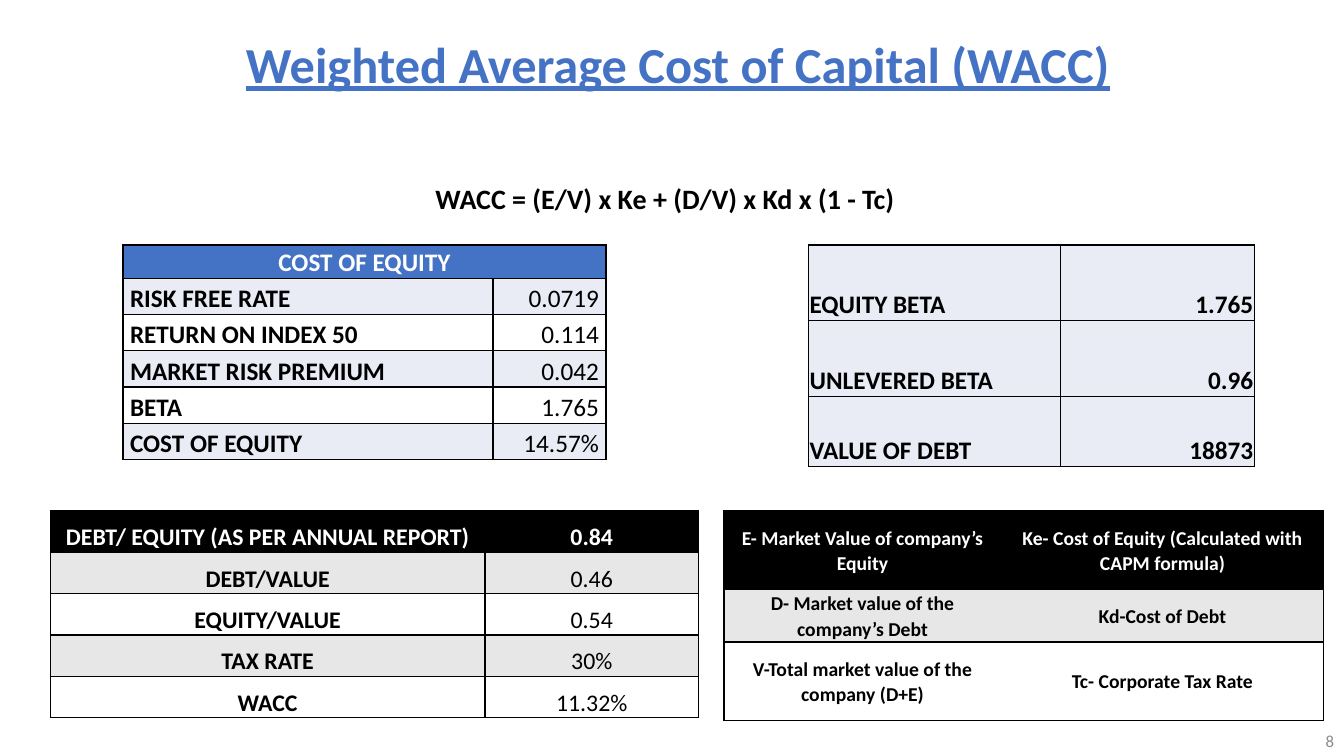
from lxml import etree
from pptx import Presentation
from pptx import util as u
from pptx.dml.color import RGBColor
from pptx.enum import text
from pptx.oxml import ns

COLORS = {"blue": "4472C4", "pale": "E9EBF5", "gray": "E7E7E7",
          "white": "FFFFFF", "black": "000000", "number": "8C8C8C"}
ALIGN = {"l": text.PP_ALIGN.LEFT, "c": text.PP_ALIGN.CENTER, "r": text.PP_ALIGN.RIGHT}
BOTTOM, MIDDLE, TOP = (text.MSO_ANCHOR.BOTTOM, text.MSO_ANCHOR.MIDDLE,
                       text.MSO_ANCHOR.TOP)


def add_run(paragraph, words, size, color, bold=True, align="l"):
    paragraph.alignment = ALIGN[align]
    run = paragraph.add_run()
    run.text = words
    run.font.name = "Calibri"
    run.font.size = u.Pt(size)
    run.font.bold = bold
    run.font.color.rgb = RGBColor.from_string(COLORS[color])
    return run


def add_border(cell, side, visible):
    properties = cell._tc.get_or_add_tcPr()
    line = etree.SubElement(properties, ns.qn(f"a:ln{side}"), w=str(u.Pt(1)))
    if visible:
        fill = etree.SubElement(line, ns.qn("a:solidFill"))
        etree.SubElement(fill, ns.qn("a:srgbClr"), val=COLORS["black"])
    else:
        etree.SubElement(line, ns.qn("a:noFill"))


presentation = Presentation()
presentation.slide_width, presentation.slide_height = u.Inches(13.33), u.Inches(7.5)
slide = presentation.slides.add_slide(presentation.slide_layouts[6])

# Title, formula and slide number
texts = [
    ("Weighted Average Cost of Capital (WACC)", (2.34, 0.35, 9.6, 0.55),
     36, "blue", True, "l", TOP),
    ("WACC = (E/V) x Ke + (D/V) x Kd x (1 - Tc)", (4.22, 1.75, 4.88, 0.44),
     20, "black", True, "l", MIDDLE),
    ("8", (10.33, 7.15, 3, 0.4), 12, "number", False, "r", MIDDLE),
]
for words, place, size, color, bold, align, anchor in texts:
    frame = slide.shapes.add_textbox(*map(u.Inches, place)).text_frame
    frame.word_wrap = True
    frame.vertical_anchor = anchor
    run = add_run(frame.paragraphs[0], words, size, color, bold, align)
    if color == "blue":
        run.font.underline = True
        frame.paragraphs[0].line_spacing = 0.9

# Table contents and rules: fills and colours go row by row
tables = [
    dict(at=(0.5, 5.07), columns=(4.31, 2.12), heights=[0.41] * 5, size=17,
         fills=["black", "gray", "white", "gray", "white"], header=True,
         align="cc", anchor=BOTTOM, bold_values=False, inner=True, inset=0.07,
         rows=[("DEBT/ EQUITY (AS PER ANNUAL REPORT)", "0.84"),
               ("DEBT/VALUE", "0.46"), ("EQUITY/VALUE", "0.54"),
               ("TAX RATE", "30%"), ("WACC", "11.32%")]),
    dict(at=(7.18, 5.07), columns=(2.75, 3.2), heights=[0.78, 0.52, 0.78], size=14,
         fills=["black", "gray", "white"], header=True,
         align="cc", anchor=MIDDLE, bold_values=True, inner=False, inset=0.07,
         rows=[("E- Market Value of company’s Equity",
                "Ke- Cost of Equity (Calculated with CAPM formula)"),
               ("D- Market value of the company’s Debt", "Kd-Cost of Debt"),
               ("V-Total market value of the company (D+E)",
                "Tc- Corporate Tax Rate")]),
    dict(at=(1.22, 2.43), columns=(3.67, 1.12), heights=[0.33] + [0.36] * 5, size=18,
         fills=["blue", "pale", "white", "pale", "white", "pale"], header=True,
         align="lr", anchor=BOTTOM, bold_values=False, inner=True, inset=0.07,
         rows=[("COST OF EQUITY", None), ("RISK FREE RATE", "0.0719"),
               ("RETURN ON INDEX 50", "0.114"), ("MARKET RISK PREMIUM", "0.042"),
               ("BETA", "1.765"), ("COST OF EQUITY", "14.57%")]),
    dict(at=(8.02, 2.43), columns=(2.5, 1.92), heights=[0.75, 0.75, 0.7], size=18,
         fills=["pale"] * 3, header=False,
         align="lr", anchor=BOTTOM, bold_values=True, inner=True, inset=0.01,
         rows=[("EQUITY BETA", "1.765"), ("UNLEVERED BETA", "0.96"),
               ("VALUE OF DEBT", "18873")]),
]

for data in tables:
    size = (sum(data["columns"]), sum(data["heights"]))
    table = slide.shapes.add_table(len(data["rows"]), 2,
                                   *map(u.Inches, data["at"] + size)).table
    for column, width in zip(table.columns, data["columns"]):
        column.width = u.Inches(width)

    for i, values in enumerate(data["rows"]):
        table.rows[i].height = u.Inches(data["heights"][i])
        heading = data["header"] and i == 0
        merged = values[1] is None
        if merged:
            table.cell(i, 0).merge(table.cell(i, 1))

        for j, value in enumerate(values):
            cell = table.cell(i, j)
            # Borders come before the fill in the cell properties
            for side in "LRTB":
                between = side == "LR"[1 - j]
                add_border(cell, side, data["inner"] or not between)
            cell.fill.solid()
            cell.fill.fore_color.rgb = RGBColor.from_string(COLORS[data["fills"][i]])
            cell.vertical_anchor = data["anchor"]
            cell.margin_left = cell.margin_right = u.Inches(data["inset"])
            cell.margin_top = cell.margin_bottom = 0
            if value is None:
                continue
            paragraph = cell.text_frame.paragraphs[0]
            if data["header"]:
                paragraph.line_spacing = 1.07
                paragraph.space_after = u.Pt(8)
            add_run(paragraph, value, data["size"], "white" if heading else "black",
                    heading or j == 0 or data["bold_values"],
                    "c" if merged else data["align"][j])

presentation.save("out.pptx")
